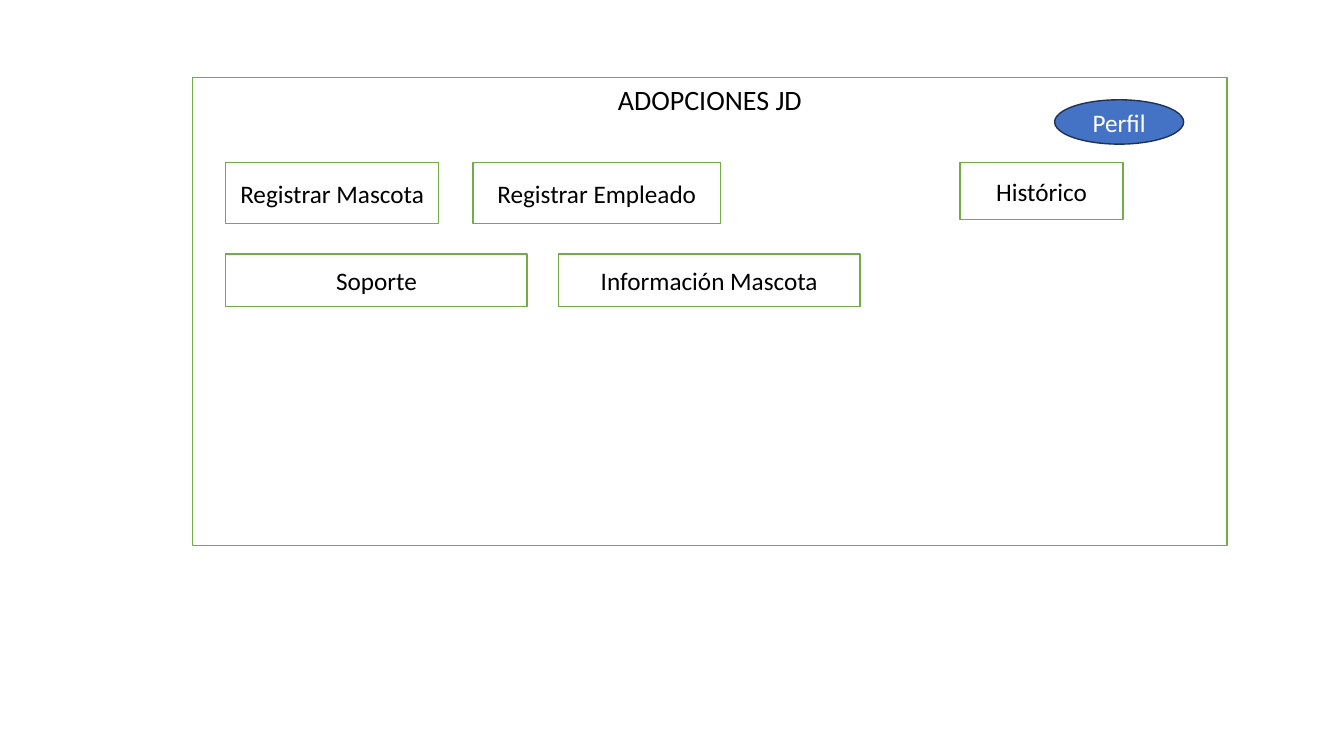
from pptx import Presentation
from pptx.dml.color import RGBColor
from pptx.enum.shapes import MSO_SHAPE
from pptx.enum.text import MSO_ANCHOR, MSO_AUTO_SIZE, PP_ALIGN
from pptx.util import Inches, Pt

THEME = {
    "font": "Calibri",
    "title_size": Pt(20),
    "label_size": Pt(18),
    "line_width": Pt(1),
    "text": RGBColor.from_string("000000"),
    "white": RGBColor.from_string("FFFFFF"),
    "green": RGBColor.from_string("70AD47"),
    "blue": RGBColor.from_string("4472C4"),
    "navy": RGBColor.from_string("1E3256"),
}

presentation = Presentation()
presentation.slide_width = Inches(13.33)
presentation.slide_height = Inches(7.5)
slide = presentation.slides.add_slide(presentation.slide_layouts[6])
column = presentation.slide_width / 100
row = presentation.slide_height / 100


def write_text(shape, text, size, color):
    shape.text_frame.word_wrap = True
    paragraph = shape.text_frame.paragraphs[0]
    paragraph.alignment = PP_ALIGN.CENTER
    run = paragraph.add_run()
    run.text = text
    run.font.name = THEME["font"]
    run.font.size = THEME[size]
    run.font.color.rgb = THEME[color]


def add_box(kind, left, top, width, height, fill="white", line="green"):
    shape = slide.shapes.add_shape(
        kind, round(left * column), round(top * row), round(width * column), round(height * row)
    )
    shape.shadow.inherit = False
    shape.fill.solid()
    shape.fill.fore_color.rgb = THEME[fill]
    shape.line.color.rgb = THEME[line]
    shape.line.width = THEME["line_width"]
    shape.text_frame.vertical_anchor = MSO_ANCHOR.MIDDLE
    return shape


window = add_box(MSO_SHAPE.RECTANGLE, 14.33, 10.27, 76.97, 61.87)

title = slide.shapes.add_textbox(window.left, window.top, window.width, round(5.87 * row))
write_text(title, "ADOPCIONES JD", "title_size", "text")
title.text_frame.auto_size = MSO_AUTO_SIZE.SHAPE_TO_FIT_TEXT

profile = add_box(MSO_SHAPE.OVAL, 78.47, 13.2, 9.6, 5.87, "blue", "navy")
write_text(profile, "Perfil", "label_size", "white")

menu_left = 16.8
menu_rows = [
    (21.47, [
        ("Registrar Mascota", menu_left, 15.83, 8.13),
        ("Registrar Empleado", 35.18, 18.45, 8.13),
        ("Histórico", 71.42, 12.15, 7.6),
    ]),
    (33.6, [
        ("Soporte", menu_left, 22.43, 6.93),
        ("Información Mascota", 41.56, 22.43, 6.93),
    ]),
]
for top, buttons in menu_rows:
    for label, left, width, height in buttons:
        button = add_box(MSO_SHAPE.RECTANGLE, left, top, width, height)
        write_text(button, label, "label_size", "text")

presentation.save("out.pptx")
